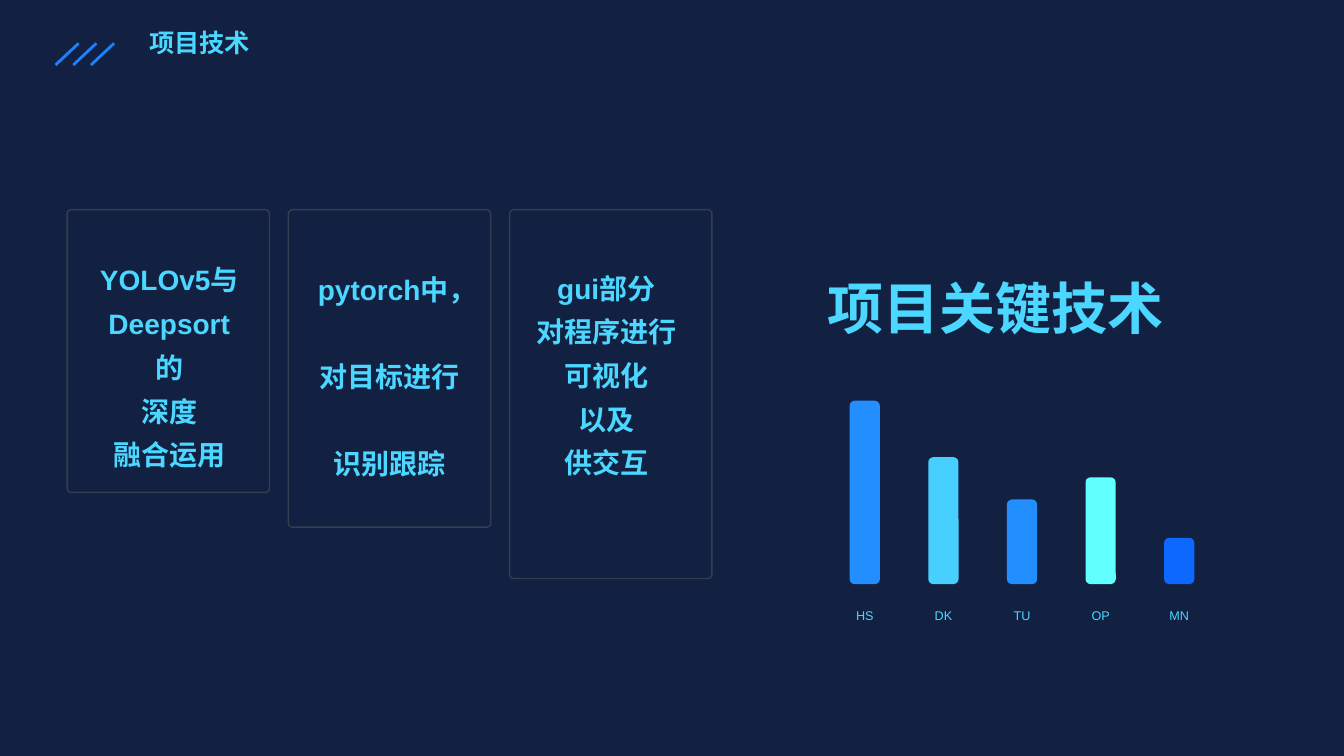
import pptx
import pptx.dml.color
import pptx.enum.shapes
import pptx.enum.text
import pptx.oxml
import pptx.oxml.ns
import pptx.util

COLORS = {
    "background": "122041", "text": "4BD7FF", "card": "333F50",
    "slash": "1B82FF", "blue": "228EFF", "sky": "47CFFF",
    "aqua": "62FFFF", "royal": "0C68FF",
}
RGB = {name: pptx.dml.color.RGBColor.from_string(code) for name, code in COLORS.items()}
ALIGN = pptx.enum.text.PP_ALIGN
ROUNDED = pptx.enum.shapes.MSO_SHAPE.ROUNDED_RECTANGLE

deck = pptx.Presentation()
deck.slide_width = pptx.util.Inches(13.33)
deck.slide_height = pptx.util.Inches(7.5)
slide = deck.slides.add_slide(deck.slide_layouts[5])
slide.background.fill.solid()
slide.background.fill.fore_color.rgb = RGB["background"]


def area(*percents):
    """Turn x, y, x, y percentages of the slide into lengths."""
    sizes = (deck.slide_width, deck.slide_height) * 2
    return [int(size * percent / 100) for size, percent in zip(sizes, percents)]


def write(box, lines, size, bold=True, align=ALIGN.LEFT, spacing=1.0, gap=0,
          first_indent=0, wrap=True, anchor=pptx.enum.text.MSO_ANCHOR.TOP):
    frame = box.text_frame
    frame.word_wrap = wrap
    frame.auto_size = pptx.enum.text.MSO_AUTO_SIZE.NONE
    frame.vertical_anchor = anchor
    frame.text = "\n".join(lines)
    for number, paragraph in enumerate(frame.paragraphs):
        paragraph.alignment = align
        paragraph.line_spacing = spacing
        if number == 0 and first_indent:
            paragraph._p.get_or_add_pPr().set("marL", str(pptx.util.Inches(first_indent)))
        if number and gap:
            paragraph.space_before = pptx.util.Pt(gap)
        for run in paragraph.runs:
            run.font.name = "Arial"
            run.font.size = pptx.util.Pt(size)
            run.font.bold = bold
            run.font.color.rgb = RGB["text"]


# Slide title with three slashes
title = slide.shapes.title
title.left, title.top, title.width, title.height = area(10.35, 2.93, 27.98, 5.33)
write(title, ["项目技术"], 18, anchor=pptx.enum.text.MSO_ANCHOR.MIDDLE)

for column in range(3):
    shift = column * 1.32
    slash = slide.shapes.add_connector(
        pptx.enum.shapes.MSO_CONNECTOR.STRAIGHT,
        *area(4.13 + shift, 8.6, 5.85 + shift, 5.73))
    slash.line.color.rgb = RGB["slash"]
    slash.line.width = pptx.util.Pt(2)
    slash._element.spPr.append(pptx.oxml.parse_xml(
        f'<a:effectLst {pptx.oxml.ns.nsdecls("a")}/>'))

# Technology cards: height, text area, lines, format
cards = [
    (37.4, (6.3, 32.8, 12.6, 24.67),
     ["YOLOv5与", "Deepsort的", "深度", "融合运用"], {}),
    (42, (21.3, 34, 15.4, 30.5),
     ["pytorch中，", "对目标进行", "识别跟踪"], {"gap": 31.2, "first_indent": 0.15}),
    (48.8, (39.15, 33.87, 11.93, 30.5),
     ["gui部分", "对程序进行", "可视化", "以及", "供交互"], {"wrap": False}),
]
for column, (height, text_area, lines, text_format) in enumerate(cards):
    card = slide.shapes.add_shape(ROUNDED, *area(5 + column * 16.46, 27.73, 15.05, height))
    card.adjustments[0] = 0.02
    card.shadow.inherit = False
    card.fill.background()
    card.line.color.rgb = RGB["card"]
    card.line.width = pptx.util.Pt(1)
    write(slide.shapes.add_textbox(*area(*text_area)), lines, 20,
          align=ALIGN.CENTER, spacing=1.3, **text_format)

# Headline
headline = slide.shapes.add_textbox(*area(60.83, 32.8, 30.38, 12.93))
write(headline, ["项目关键技术"], 40, spacing=1.3)

# Bars standing on one baseline, each with its label
bars = [("HS", 24.27, "blue"), ("DK", 16.8, "sky"), ("TU", 11.2, "blue"),
        ("OP", 14.13, "aqua"), ("MN", 6.13, "royal")]
baseline, bar_width, label_width = 77.27, 2.25, 3
for column, (label, height, color) in enumerate(bars):
    left = 63.22 + column * 5.85
    bar = slide.shapes.add_shape(ROUNDED, *area(left, baseline - height, bar_width, height))
    bar.shadow.inherit = False
    bar.fill.solid()
    bar.fill.fore_color.rgb = RGB[color]
    bar.line.fill.background()
    label_left = left + (bar_width - label_width) / 2
    caption = slide.shapes.add_textbox(*area(label_left, 79.73, label_width, 3.33))
    write(caption, [label], 9, bold=False, align=ALIGN.CENTER, wrap=False)

deck.save("out.pptx")
